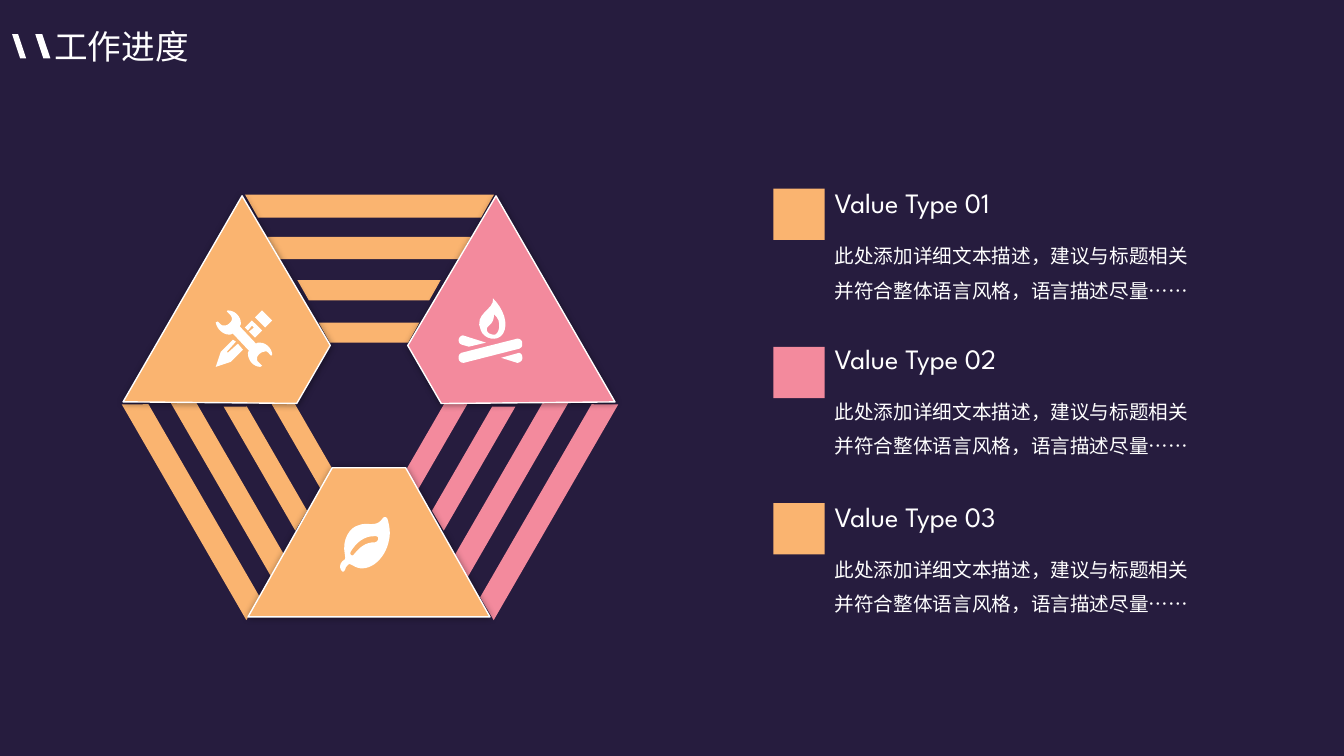
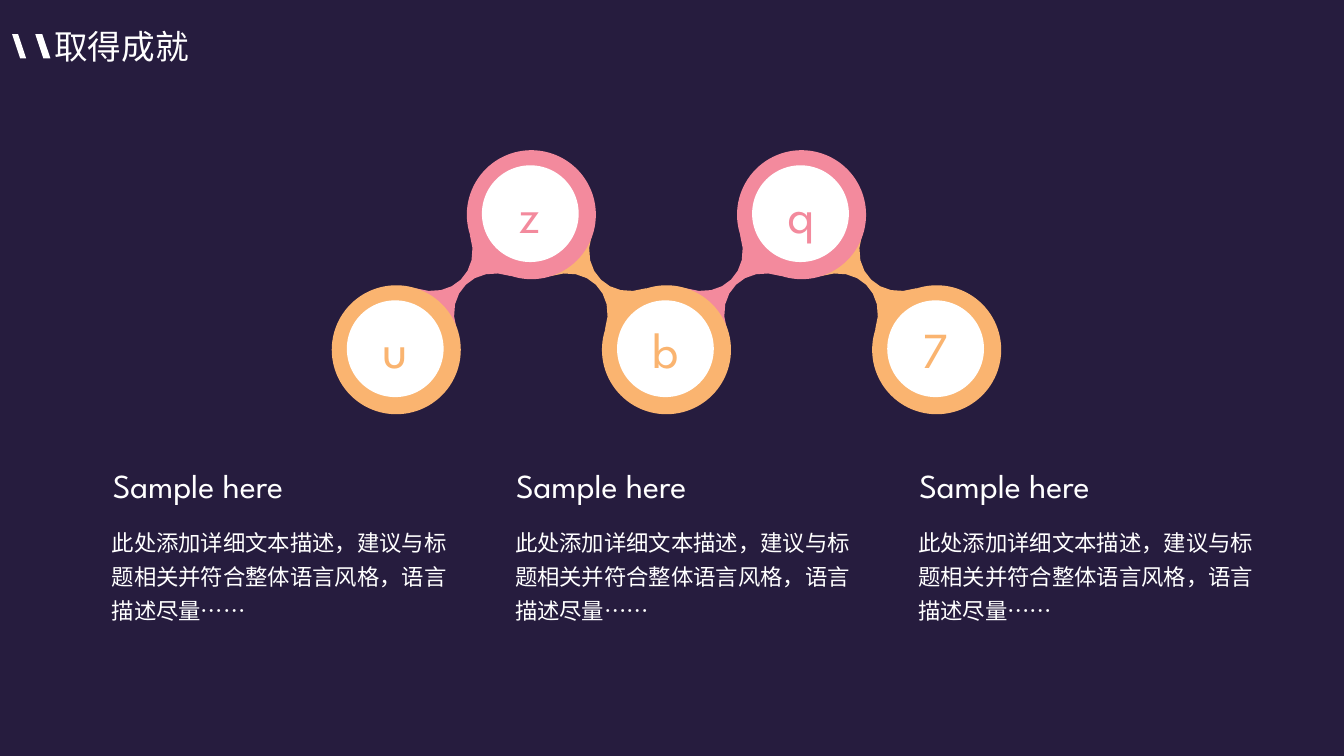
"""Build a progress slide and an achievements slide on a shared dark theme."""
import pptx
import pptx.util
import pptx.dml.color
import pptx.enum.shapes
import pptx.enum.text
import pptx.oxml
import pptx.oxml.ns

PX = 9144
NAVY = pptx.dml.color.RGBColor(0x26, 0x1C, 0x3E)
ORANGE = pptx.dml.color.RGBColor(0xFA, 0xB4, 0x70)
PINK = pptx.dml.color.RGBColor(0xF3, 0x8A, 0x9D)
WHITE = pptx.dml.color.RGBColor(0xFF, 0xFF, 0xFF)
LATIN = "League Spartan"
CHINESE = "Noto Sans CJK SC"
DESCRIPTION = "此处添加详细文本描述，建议与标题相关并符合整体语言风格，语言描述尽量……"
BODY_SPACING = pptx.util.Pt(24.6)
CURVE_STEPS = 8
SHAPE = pptx.enum.shapes.MSO_SHAPE
SHADOW = (
    f'<a:outerShdw {pptx.oxml.ns.nsdecls("a")} blurRad="63500" dist="0" dir="0" algn="ctr" rotWithShape="0">'
    '<a:srgbClr val="000000"><a:alpha val="40000"/></a:srgbClr></a:outerShdw>'
)


def paint(shape, color):
    """Give a shape a flat fill without outline or shadow."""
    shape.shadow.inherit = False
    shape.fill.solid()
    shape.fill.fore_color.rgb = color
    shape.line.fill.background()


def write(para, text, size, color=WHITE, font=LATIN):
    """Add one run of styled text to a paragraph."""
    span = para.add_run()
    span.text = text
    span.font.size = pptx.util.Pt(size)
    span.font.name = font
    span.font.color.rgb = color
    east_asian = pptx.oxml.parse_xml(f'<a:ea {pptx.oxml.ns.nsdecls("a")} typeface="{CHINESE}"/>')
    span.font._element.find(pptx.oxml.ns.qn("a:latin")).addnext(east_asian)


deck = pptx.Presentation()
deck.slide_width = 1333 * PX
deck.slide_height = 750 * PX
deck.slide_master.background.fill.solid()
deck.slide_master.background.fill.fore_color.rgb = NAVY
progress, achievements = [deck.slides.add_slide(deck.slide_layouts[6]) for _ in range(2)]

# Each block is kind, left, top, width, height, rotation, colour.
blocks = [
    (SHAPE.RECTANGLE, 767, top, 51, 51, 0, color)
    for top, color in ((187, ORANGE), (344, PINK), (499, ORANGE))
]
stripe_sides = [
    (366, 204, 0, 42, 180, ORANGE),
    (541, 502, -37, -21, 300, PINK),
    (192, 502, 37, -21, 60, ORANGE),
]
for center_x, center_y, step_x, step_y, rotation, color in stripe_sides:
    for index, (width, height) in enumerate(((247, 23), (202, 22), (142, 20), (100, 20))):
        left = center_x + index * step_x - width // 2
        top = center_y + index * step_y - height // 2
        blocks.append((SHAPE.TRAPEZOID, left, top, width, height, rotation, color))
panels = [
    (SHAPE.TRAPEZOID, 128, 259, 236, 150, 120, ORANGE),
    (SHAPE.TRAPEZOID, 368, 259, 236, 150, 240, PINK),
    (SHAPE.TRAPEZOID, 246, 464, 240, 148, 0, ORANGE),
]
for block in blocks + panels:
    kind, left, top, width, height, rotation, color = block
    shape = progress.shapes.add_shape(kind, left * PX, top * PX, width * PX, height * PX)
    shape.rotation = rotation
    paint(shape, color)
    if kind == SHAPE.TRAPEZOID:
        shape.adjustments[0] = 0.565
    if block in panels:
        shape.line.color.rgb = WHITE
        shape.line.width = pptx.util.Pt(1)
        effects = shape._element.spPr.find(pptx.oxml.ns.qn("a:effectLst"))
        effects.append(pptx.oxml.parse_xml(SHADOW))

title_marks = [
    [(35, 34), (42, 34), (50, 58), (43, 58)],
    [(12, 34), (18, 34), (26, 58), (20, 58)],
]
leaf = [
    [(384, 514), (387, 523, 387, 530, 386, 535), (384, 546, 379, 554, 371, 560),
     (363, 565, 356, 565, 350, 561), (346, 559, 346, 559, 343, 563),
     (342, 567, 340, 569, 338, 565), (336, 560, 339, 557, 342, 555),
     (343, 553, 342, 551, 342, 550), (339, 535, 347, 523, 356, 521),
     (363, 518, 370, 522, 376, 518), (380, 515, 380, 511, 384, 514)],
    [(372, 538), (376, 537, 376, 532, 373, 532), (361, 531, 353, 539, 348, 547),
     (346, 551, 350, 552, 351, 550), (357, 543, 362, 538, 372, 538)],
]
upper_log = [
    [(458, 342), (465, 344), (482, 340), (460, 333), (458, 332, 455, 335, 455, 337),
     (455, 338), (455, 340, 456, 341, 458, 342)],
]
lower_log = [
    [(515, 350), (497, 355), (513, 360), (515, 360, 518, 358, 518, 356),
     (518, 354), (518, 352, 517, 351, 515, 350)],
]
long_log = [
    [(513, 336), (458, 350), (456, 351, 455, 352, 455, 354), (455, 356),
     (455, 358, 457, 360, 460, 360), (515, 346), (517, 345, 518, 344, 518, 342),
     (518, 340), (518, 338, 516, 336, 513, 336)],
]
flame = [
    [(477, 328), (480, 336, 493, 340, 499, 331), (505, 321, 499, 306, 489, 296),
     (491, 307, 469, 311, 477, 328)],
    [(484, 324), (486, 322, 490, 320, 490, 312), (499, 318, 495, 334, 489, 332),
     (482, 331, 482, 326, 484, 324)],
]
pencil_tip = [
    [(236, 341), (226, 350), (225, 349), (234, 339), (231, 337), (219, 349),
     (214, 364), (229, 359), (241, 347)],
]
pencil_body = [
    [(246, 328), (250, 323), (252, 325), (247, 329), (253, 335), (260, 328),
     (250, 318), (243, 325)],
]
pencil_end = [[(253, 315), (260, 308), (270, 318), (263, 325)]]
wrench = [
    [(258, 340), (256, 340, 255, 340, 254, 341), (238, 324), (238, 323, 239, 322, 239, 321),
     (239, 314, 233, 308, 226, 308), (225, 309), (230, 314, 230, 314, 230, 317),
     (230, 319, 226, 323, 223, 323), (220, 323, 220, 323, 216, 319), (214, 320),
     (215, 326, 221, 332, 227, 332), (228, 332, 229, 332, 231, 331), (247, 348),
     (246, 349, 246, 350, 246, 351), (246, 358, 252, 364, 258, 364), (260, 363),
     (254, 357, 255, 358, 255, 355), (255, 353, 259, 349, 262, 349),
     (265, 348, 265, 349, 269, 353), (270, 352), (270, 346, 264, 340, 258, 340)],
]
icons = [leaf, upper_log, lower_log, long_log, flame, pencil_tip, pencil_body, pencil_end, wrench]
outlines = [(page, WHITE, title_marks) for page in (progress, achievements)]
outlines += [(progress, WHITE, icon) for icon in icons]

bridge = [(41, 0), (29, 36, 59, 65, 95, 53), (54, 94), (66, 58, 36, 29, 0, 41)]
for index in range(4):
    falling = index % 2 == 1
    contour = []
    for segment in bridge:
        placed = []
        for x, y in zip(segment[::2], segment[1::2]):
            placed += [412 + 134 * index + (x if falling else 95 - x), 233 + y]
        contour.append(placed)
    outlines.append((achievements, ORANGE if falling else PINK, [contour]))

for page, color, contours in outlines:
    builder = None
    for contour in contours:
        start_x, start_y = x, y = contour[0]
        if builder is None:
            builder = page.shapes.build_freeform(start_x * PX, start_y * PX, scale=1.0)
        else:
            builder.move_to(start_x * PX, start_y * PX)
        points = []
        for segment in contour[1:]:
            if len(segment) == 6:
                x1, y1, x2, y2, x3, y3 = segment
                for step in range(1, CURVE_STEPS + 1):
                    t = step / CURVE_STEPS
                    a, b, c, d = (1 - t) ** 3, 3 * t * (1 - t) ** 2, 3 * t * t * (1 - t), t ** 3
                    points.append(((a * x + b * x1 + c * x2 + d * x3) * PX,
                                   (a * y + b * y1 + c * y2 + d * y3) * PX))
            else:
                points.append((segment[0] * PX, segment[1] * PX))
            x, y = segment[-2:]
        builder.add_line_segments(points, close=True)
    paint(builder.convert_to_shape(), color)

for index, letter in enumerate("uzbq7"):
    raised = index % 2 == 1
    color = PINK if raised else ORANGE
    left, top = 329 + 134 * index, 149 if raised else 283
    for inset, size, fill in ((0, 128, color), (15, 96, WHITE)):
        circle = achievements.shapes.add_shape(
            SHAPE.OVAL, (left + inset) * PX, (top + inset) * PX, size * PX, size * PX)
        paint(circle, fill)
    circle.text_frame.vertical_anchor = pptx.enum.text.MSO_ANCHOR.MIDDLE
    para = circle.text_frame.paragraphs[0]
    para.alignment = pptx.enum.text.PP_ALIGN.CENTER
    write(para, letter, 36, color)

texts = [
    (page, 44, 21, 221, 50, [(title, 24, LATIN, 1.0)])
    for page, title in ((progress, "工作进度"), (achievements, "取得成就"))
]
for number, top in enumerate((188, 342, 499), start=1):
    lines = [
        (f"Value Type {number:02}", 20, LATIN, pptx.util.Pt(17.8)),
        (DESCRIPTION, 14, CHINESE, BODY_SPACING),
    ]
    texts.append((progress, 818, top, 385, 231, lines))
for left in range(101, 1000, 400):
    texts.append((achievements, left, 512, 366, 139, [(DESCRIPTION, 16, CHINESE, BODY_SPACING)]))
    texts.append((achievements, left + 1, 461, 365, 51, [("Sample here", 24, LATIN, 0.9)]))

for page, left, top, width, height, lines in texts:
    box = page.shapes.add_textbox(left * PX, top * PX, width * PX, height * PX)
    box.text_frame.word_wrap = True
    for index, (text, size, font, spacing) in enumerate(lines):
        para = box.text_frame.add_paragraph() if index else box.text_frame.paragraphs[0]
        para.line_spacing = spacing
        if index:
            para.space_before = pptx.util.Pt(10)
        write(para, text, size, font=font)

deck.save("out.pptx")
